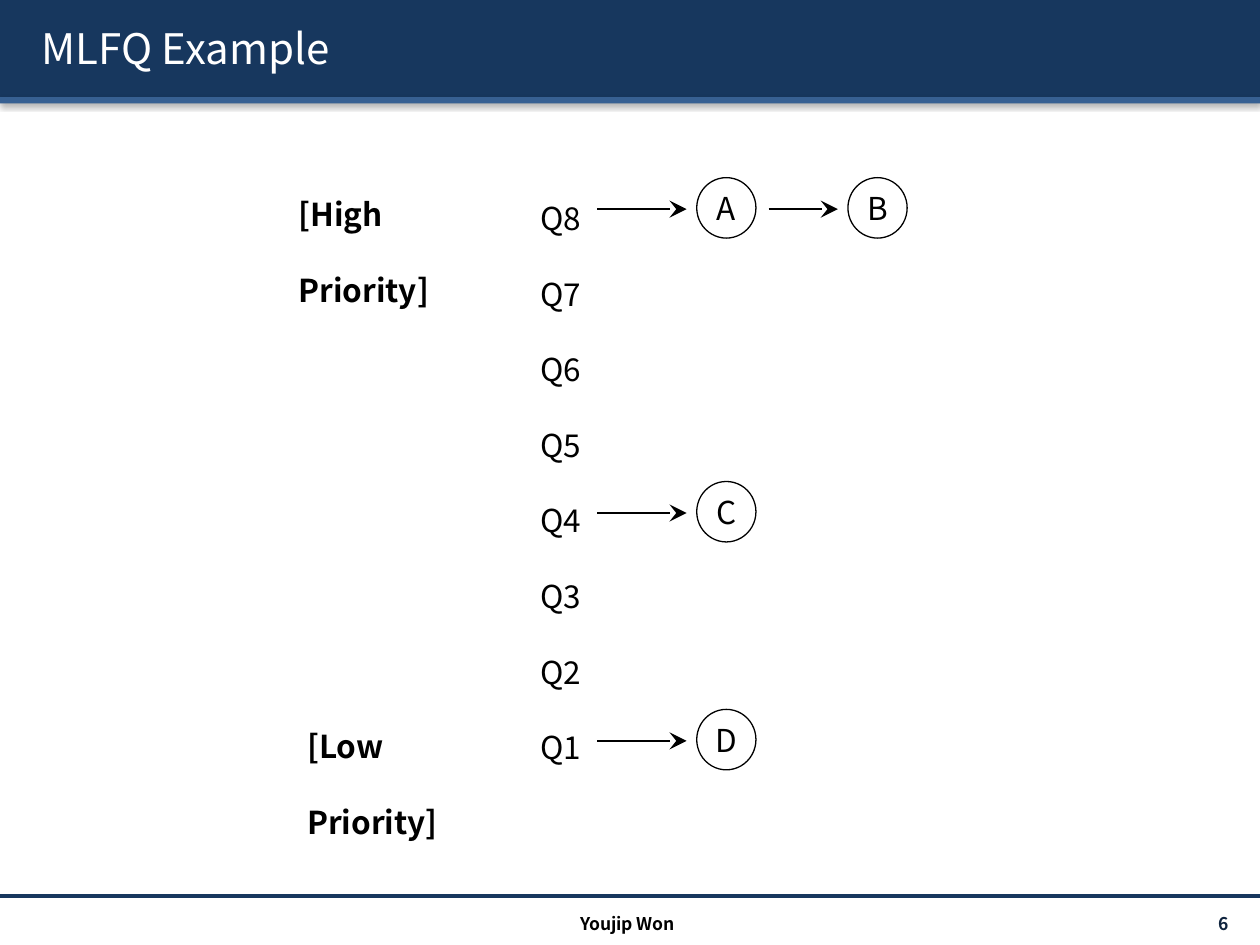
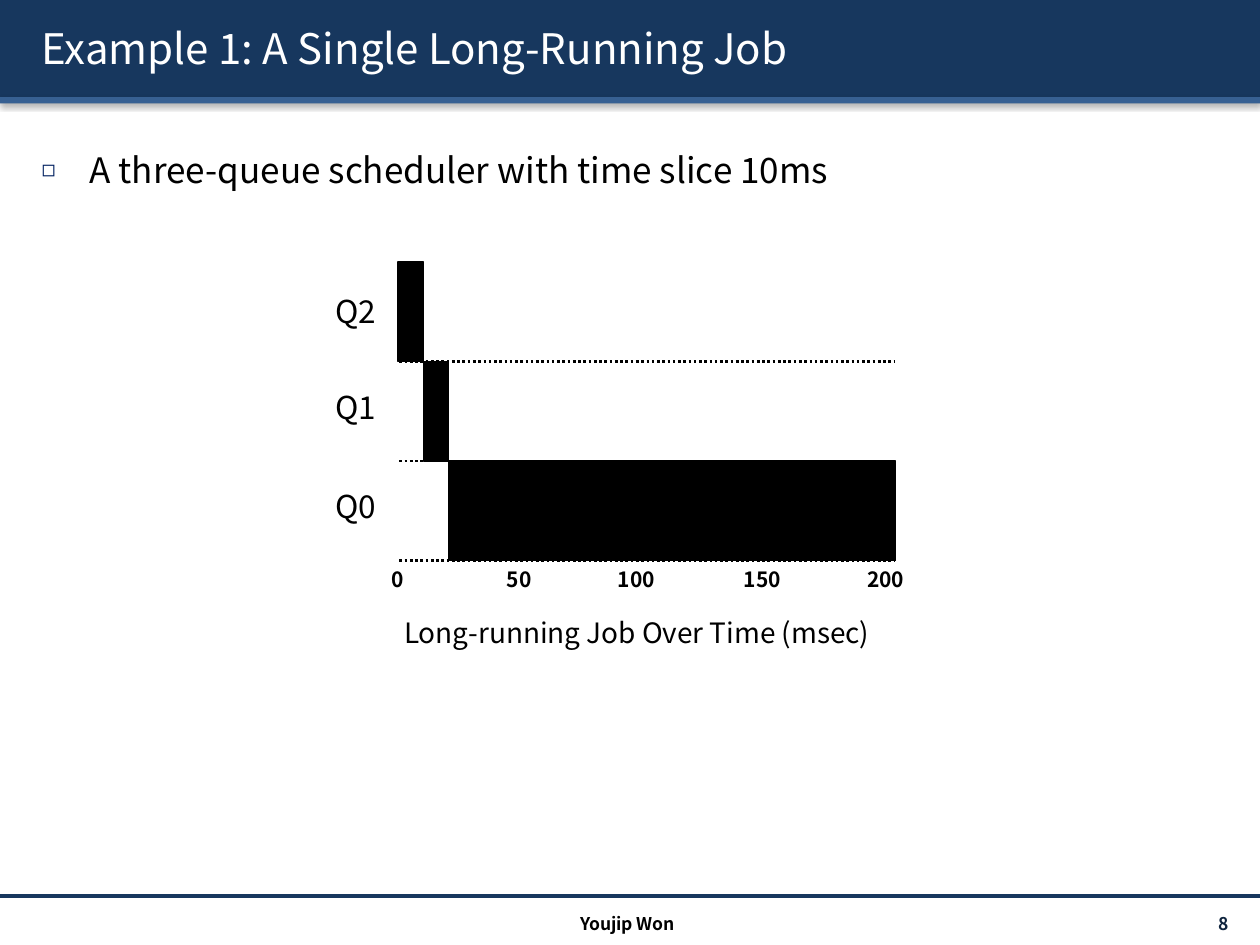
from dataclasses import dataclass
from typing import Any

from lxml import etree
from pptx import Presentation
from pptx import util as u
from pptx.dml import color
from pptx.enum import dml, shapes, text
from pptx.oxml import ns

COLORS = {
    "navy": "17375E",
    "steel": "376092",
    "number": "0F243E",
    "bullet": "002060",
    "ink": "000000",
    "paper": "FFFFFF",
}
FONT = "Noto Sans CJK KR"
LEFT, CENTER, RIGHT = text.PP_ALIGN.LEFT, text.PP_ALIGN.CENTER, text.PP_ALIGN.RIGHT
TOP, MIDDLE = text.MSO_ANCHOR.TOP, text.MSO_ANCHOR.MIDDLE


@dataclass(frozen=True)
class Box:
    left: float
    top: float
    width: float
    height: float

    def lengths(self) -> list[u.Length]:
        return [u.Inches(v) for v in (self.left, self.top, self.width, self.height)]


@dataclass(frozen=True)
class TextStyle:
    size: float = 18
    color: str = "ink"
    bold: bool = False
    align: Any = LEFT
    anchor: Any = TOP
    spacing: float = 1.0
    wrap: bool = True


@dataclass(frozen=True)
class QueueChain:
    queue: int
    jobs: str


@dataclass(frozen=True)
class QueueBand:
    label: str
    label_top: float
    start: float
    end: float


@dataclass(frozen=True)
class Tick:
    label: str
    center: float


TITLE = TextStyle(24, "paper", anchor=MIDDLE)
BODY = TextStyle(20, spacing=1.5)
AUTHOR = TextStyle(10, bold=True, align=CENTER)
PAGE = TextStyle(10, "number", True, RIGHT, MIDDLE)
QUEUES = TextStyle(spacing=2.0)
PRIORITY = TextStyle(bold=True, spacing=2.0)
JOB = TextStyle(align=CENTER, anchor=MIDDLE)
QUEUE_LABEL = TextStyle(align=CENTER, wrap=False)
TICK_LABEL = TextStyle(12, bold=True, align=CENTER, wrap=False)
CAPTION = TextStyle(16, align=CENTER)

# Queue diagram
TOP_QUEUE = 8
QUEUE_PITCH = 4.22 / 7
CHAINS = [QueueChain(8, "AB"), QueueChain(4, "C"), QueueChain(1, "D")]
ARROW_SPANS = [(4.74, 5.45), (6.1, 6.65)]
JOB_LEFT, JOB_PITCH = 5.53, 1.2

# Timeline
BANDS = [
    QueueBand("Q2", 2.27, 3.16, 3.36),
    QueueBand("Q1", 3.03, 3.36, 3.56),
    QueueBand("Q0", 3.82, 3.56, 7.11),
]
BAND_TOP, BAND_HEIGHT = 2.08, 0.79
TICKS = [
    Tick("0", 3.16),
    Tick("50", 4.12),
    Tick("100", 5.05),
    Tick("150", 6.05),
    Tick("200", 7.03),
]


def rgb(name: str) -> color.RGBColor:
    return color.RGBColor.from_string(COLORS[name])


def apply(target: Any, values: dict[str, Any]) -> None:
    for attribute, value in values.items():
        setattr(target, attribute, value)


def add_xml(parent: Any, tag: str, **attributes: str) -> Any:
    return etree.SubElement(parent, ns.qn(tag), attributes)


def add_shadow(parent: Any, blur: int, dist: int, angle: int, alpha: int) -> None:
    effects = add_xml(parent, "a:effectLst")
    shadow = add_xml(effects, "a:outerShdw", blurRad=str(blur), dist=str(dist),
                     dir=str(angle * 60000), algn="ctr", rotWithShape="0")
    tint = add_xml(shadow, "a:srgbClr", val=COLORS["ink"])
    add_xml(tint, "a:alpha", val=str(alpha * 1000))


def write(shape: Any, lines: list[str], style: TextStyle) -> None:
    frame = shape.text_frame
    apply(frame, {
        "text": "\n".join(lines),
        "word_wrap": style.wrap,
        "auto_size": text.MSO_AUTO_SIZE.NONE,
        "vertical_anchor": style.anchor,
    })
    for paragraph in frame.paragraphs:
        apply(paragraph, {
            "alignment": style.align,
            "line_spacing": style.spacing,
            "space_before": u.Pt(0),
        })
        for run in paragraph.runs:
            apply(run.font, {"name": FONT, "size": u.Pt(style.size), "bold": style.bold})
            run.font.color.rgb = rgb(style.color)


def add_text(canvas: Any, box: Box, lines: list[str], style: TextStyle) -> Any:
    textbox = canvas.add_textbox(*box.lengths())
    write(textbox, lines, style)
    return textbox


def fill_placeholder(placeholder: Any, box: Box, line: str, style: TextStyle) -> None:
    apply(placeholder, dict(zip(("left", "top", "width", "height"), box.lengths())))
    write(placeholder, [line], style)


def add_preset(canvas: Any, kind: Any, box: Box, fill: str, outline: str | None = None) -> Any:
    shape = canvas.add_shape(kind, *box.lengths())
    shape.shadow.inherit = False
    shape.fill.solid()
    shape.fill.fore_color.rgb = rgb(fill)
    if outline:
        shape.line.color.rgb = rgb(outline)
        shape.line.width = u.Pt(0.75)
    else:
        shape.line.fill.background()
    return shape


def add_rule(canvas: Any, start: float, end: float, y: float, ink: str = "ink",
             width: float = 1.5, dash: Any = None, arrow: bool = False) -> None:
    rule = canvas.add_connector(shapes.MSO_CONNECTOR.STRAIGHT, u.Inches(start),
                                u.Inches(y), u.Inches(end), u.Inches(y))
    rule.line.color.rgb = rgb(ink)
    apply(rule.line, {"width": u.Pt(width), "dash_style": dash})
    properties = rule.element.spPr
    if arrow:
        add_xml(properties.find(ns.qn("a:ln")), "a:tailEnd", type="stealth", w="lg", len="lg")
    add_xml(properties, "a:effectLst")


def start_slide(deck: Any, layout: int, heading: str, number: int) -> Any:
    slide = deck.slides.add_slide(deck.slide_layouts[layout])
    canvas = slide.shapes

    # Header bands, with the title in front
    for box, fill in ((Box(0, 0, 10, 0.77), "navy"), (Box(0, 0.77, 10, 0.05), "steel")):
        band = add_preset(canvas, shapes.MSO_SHAPE.RECTANGLE, box, fill)
        properties = band.element.spPr
        properties.remove(properties.find(ns.qn("a:effectLst")))
        add_shadow(properties, 40000, 20000, 90, 38)
    title = canvas.title
    fill_placeholder(title, Box(0.23, 0.06, 9.61, 0.64), heading, TITLE)
    run_format = title.text_frame.paragraphs[0].runs[0].font._element
    add_shadow(run_format, 38100, 38100, 45, 100)
    run_format.insert(1, run_format[-1])
    title.element.getparent().append(title.element)

    # Footer
    add_rule(canvas, 0, 10, 7.11, "navy", 2)
    page = add_text(canvas, Box(8.71, 7.21, 1.17, 0.24), [str(number)], PAGE)
    page.text_frame.margin_right = u.Inches(0.13)
    add_text(canvas, Box(3.32, 7.2, 3.32, 0.24), ["Youjip Won"], AUTHOR)
    return slide


def build_queue_slide(deck: Any) -> None:
    canvas = start_slide(deck, 5, "MLFQ Example", 6).shapes

    # Queue names and priority ends
    names = [f"Q{queue}" for queue in range(TOP_QUEUE, 0, -1)]
    add_text(canvas, Box(4.19, 1.23, 0.55, 4.85), names, QUEUES)
    add_text(canvas, Box(2.27, 1.2, 1.85, 0.61), ["[High Priority]"], PRIORITY)
    add_text(canvas, Box(2.34, 5.42, 1.85, 0.71), ["[Low Priority]"], PRIORITY)

    # Jobs waiting in each queue
    for chain in CHAINS:
        top = 1.41 + (TOP_QUEUE - chain.queue) * QUEUE_PITCH
        for place, (name, span) in enumerate(zip(chain.jobs, ARROW_SPANS)):
            add_rule(canvas, *span, top + 0.25, arrow=True)
            box = Box(JOB_LEFT + place * JOB_PITCH, top, 0.47, 0.48)
            job = add_preset(canvas, shapes.MSO_SHAPE.OVAL, box, "paper", "ink")
            apply(job.text_frame, {"margin_left": u.Inches(0.08),
                                   "margin_right": u.Inches(0.08)})
            write(job, [name], JOB)


def build_timeline_slide(deck: Any) -> None:
    slide = start_slide(deck, 1, "Example 1: A Single Long-Running Job", 8)

    # Bulleted statement
    body = slide.placeholders[1]
    fill_placeholder(body, Box(0.23, 0.96, 9.61, 6.02),
                     "A three-queue scheduler with time slice 10ms", BODY)
    properties = body.text_frame.paragraphs[0]._p.get_or_add_pPr()
    indent = u.Inches(0.38)
    properties.set("marL", str(indent))
    properties.set("indent", str(-indent))
    add_xml(add_xml(properties, "a:buClr"), "a:srgbClr", val=COLORS["bullet"])
    add_xml(properties, "a:buSzPct", val="65000")
    add_xml(properties, "a:buChar", char="◻")

    # Running time per queue
    timeline = slide.shapes.add_group_shape().shapes
    for row, band in enumerate(BANDS):
        top = BAND_TOP + row * BAND_HEIGHT
        add_rule(timeline, 3.17, 7.1, top + BAND_HEIGHT, dash=dml.MSO_LINE.ROUND_DOT)
        box = Box(band.start, top, band.end - band.start, BAND_HEIGHT)
        add_preset(timeline, shapes.MSO_SHAPE.RECTANGLE, box, "ink", "ink")
        add_text(timeline, Box(2.48, band.label_top, 0.69, 0.4), [band.label], QUEUE_LABEL)

    # Time axis
    axis_top = BAND_TOP + len(BANDS) * BAND_HEIGHT
    for tick in TICKS:
        box = Box(tick.center - 0.3, axis_top, 0.6, 0.3)
        add_text(timeline, box, [tick.label], TICK_LABEL)
    add_text(slide.shapes, Box(2.75, 4.84, 4.61, 0.37),
             ["Long-running Job Over Time (msec)"], CAPTION)


def main() -> None:
    deck = Presentation()
    apply(deck, {"slide_width": u.Inches(10), "slide_height": u.Inches(7.5)})
    build_queue_slide(deck)
    build_timeline_slide(deck)
    deck.save("out.pptx")


if __name__ == "__main__":
    main()
